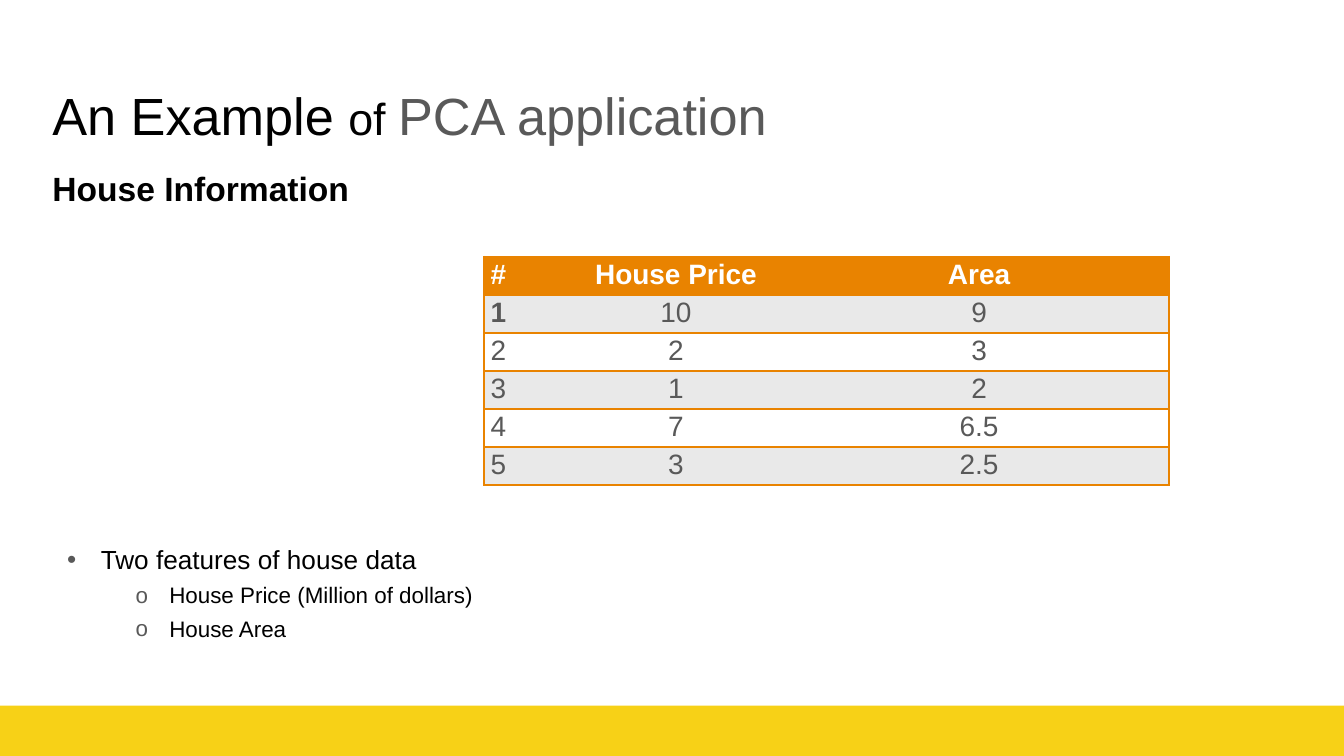
from lxml.etree import SubElement
from pptx import Presentation
from pptx.dml.color import RGBColor as RGB
from pptx.enum.shapes import MSO_SHAPE as Shape
from pptx.enum.text import MSO_ANCHOR as Anchor, MSO_AUTO_SIZE as AutoSize, PP_ALIGN as Align
from pptx.oxml import parse_xml
from pptx.oxml.ns import nsdecls, qn
from pptx.util import Inches, Pt

THEME = {
    "font": "Arial",
    "colors": {"ink": "000000", "gray": "595959", "white": "FFFFFF",
               "band": "E9E9E9", "accent": "E98300", "footer": "F7D117"},
    "sizes": {"title": 28, "small_title": 24, "heading": 18, "cell": 15,
              "feature": 14, "detail": 12},
}
COLORS = THEME["colors"]

TITLE = [("An Example ", "title", "ink"), ("of ", "small_title", "ink"),
         ("PCA application", "title", "gray")]
HEADING = "House Information"
FEATURES = [(0, "Two features of house data"),
            (1, "House Price (Million of dollars)"),
            (1, "House Area")]
LEVELS = [{"size": "feature", "bullet": "•", "margin": 0.25, "before": 0},
          {"size": "detail", "bullet": "o", "margin": 0.76, "before": 5}]
HOUSES = [("#", "House Price", "Area"),
          ("1", "10", "9"),
          ("2", "2", "3"),
          ("3", "1", "2"),
          ("4", "7", "6.5"),
          ("5", "3", "2.5")]
BOLD_CELLS = {(0, 0), (0, 1), (0, 2), (1, 0)}

SLIDE_WIDTH = 10
SLIDE_HEIGHT = SLIDE_WIDTH * 9 / 16
FOOTER_TOP = 5.25
TITLE_BOX = (0.34, 0.48, 9.32, 0.63)
HEADING_BOX = (0.34, 1.26, 9.32, 3.74)
FEATURES_BOX = (0.45, 4.05, 8.43, 1.44)
TABLE_LEFT, TABLE_TOP = 3.6, 1.91
COLUMN_WIDTHS = (0.59, 1.68, 2.83)
TABLE_HEIGHT = 1.7
ROW_HEIGHT = TABLE_HEIGHT / len(HOUSES)
HANGING = -0.25
MARGINS = {"margin_left": Inches(0.05), "margin_right": Inches(0.05),
           "margin_top": Inches(0.02), "margin_bottom": Inches(0.02)}


def set_all(target, values):
    for name, value in values.items():
        setattr(target, name, value)


def paint(target, color):
    target.fill.solid()
    target.fill.fore_color.rgb = RGB.from_string(COLORS[color])


def add_run(paragraph, text, size, color="ink", bold=False):
    run = paragraph.add_run()
    run.text = text
    set_all(run.font, {"name": THEME["font"], "size": Pt(THEME["sizes"][size]), "bold": bold})
    run.font.color.rgb = RGB.from_string(COLORS[color])


def place(holder, box, anchor):
    set_all(holder, dict(zip(("left", "top", "width", "height"), map(Inches, box))))
    frame = holder.text_frame
    set_all(frame, {"word_wrap": True, "auto_size": AutoSize.NONE,
                    "vertical_anchor": anchor, **MARGINS})
    return frame


def format_paragraph(paragraph, margin=0, hanging=0, before=0, bullet=None):
    set_all(paragraph, {"alignment": Align.LEFT, "line_spacing": 0.9,
                        "space_before": Pt(before), "space_after": Pt(0)})
    props = paragraph._p.get_or_add_pPr()
    props.set("marL", str(Inches(margin)))
    props.set("indent", str(Inches(hanging)))
    if bullet:
        SubElement(SubElement(props, qn("a:buClr")), qn("a:srgbClr"), val=COLORS["gray"])
        SubElement(props, qn("a:buChar"), char=bullet)
    else:
        SubElement(props, qn("a:buNone"))


def set_borders(cell, visible_sides):
    props = cell._tc.get_or_add_tcPr()
    for index, side in enumerate("LRTB"):
        line = (f'<a:solidFill><a:srgbClr val="{COLORS["accent"]}"/></a:solidFill>'
                if side in visible_sides else "<a:noFill/>")
        props.insert(index, parse_xml(
            f'<a:ln{side} {nsdecls("a")} w="{Pt(1)}">{line}</a:ln{side}>'))


def add_footer(slide):
    footer = slide.shapes.add_shape(
        Shape.RECTANGLE, 0, Inches(FOOTER_TOP),
        Inches(SLIDE_WIDTH), Inches(SLIDE_HEIGHT - FOOTER_TOP))
    footer.shadow.inherit = False
    paint(footer, "footer")
    footer.line.fill.background()
    slide.shapes.element.insert(2, footer.element)


def add_house_table(slide):
    frame = slide.shapes.add_table(
        len(HOUSES), len(COLUMN_WIDTHS), Inches(TABLE_LEFT), Inches(TABLE_TOP),
        Inches(sum(COLUMN_WIDTHS)), Inches(TABLE_HEIGHT))
    table = frame.table
    last = len(COLUMN_WIDTHS) - 1
    for column, width in zip(table.columns, COLUMN_WIDTHS):
        column.width = Inches(width)
    for r, house in enumerate(HOUSES):
        table.rows[r].height = Inches(ROW_HEIGHT)
        for c, value in enumerate(house):
            cell = table.cell(r, c)
            set_all(cell, MARGINS)
            paint(cell, "accent" if r == 0 else "band" if r % 2 else "white")
            set_borders(cell, "TB" + ("L" if c == 0 else "") + ("R" if c == last else ""))
            paragraph = cell.text_frame.paragraphs[0]
            paragraph.alignment = Align.CENTER if c else Align.LEFT
            add_run(paragraph, value, "cell", "gray" if r else "white", (r, c) in BOLD_CELLS)


def main():
    """Build the house data slide and save it."""
    deck = Presentation()
    deck.slide_width, deck.slide_height = Inches(SLIDE_WIDTH), Inches(SLIDE_HEIGHT)
    slide = deck.slides.add_slide(deck.slide_layouts.get_by_name("Two Content"))
    title, heading, features = list(slide.placeholders)[:3]
    add_footer(slide)

    title_line = place(title, TITLE_BOX, Anchor.BOTTOM).paragraphs[0]
    format_paragraph(title_line)
    for text, size, color in TITLE:
        add_run(title_line, text, size, color)

    heading_line = place(heading, HEADING_BOX, Anchor.TOP).paragraphs[0]
    format_paragraph(heading_line)
    add_run(heading_line, HEADING, "heading", bold=True)

    feature_frame = place(features, FEATURES_BOX, Anchor.TOP)
    for index, (level, text) in enumerate(FEATURES):
        paragraph = feature_frame.add_paragraph() if index else feature_frame.paragraphs[0]
        style = LEVELS[level]
        paragraph.level = level
        format_paragraph(paragraph, style["margin"], HANGING, style["before"], style["bullet"])
        add_run(paragraph, text, style["size"])

    add_house_table(slide)
    deck.save("out.pptx")


if __name__ == "__main__":
    main()
